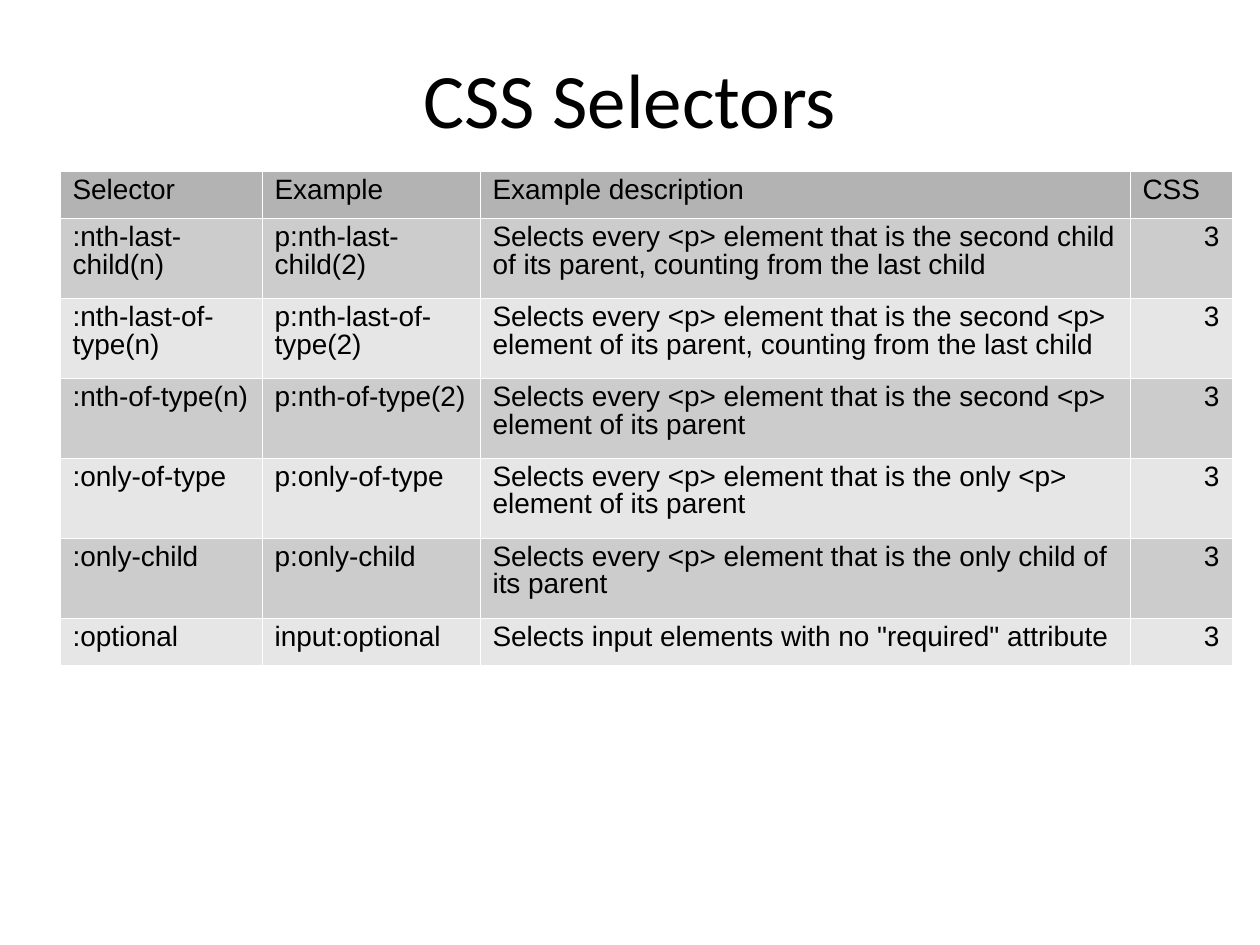
import pptx
import pptx.util
import pptx.dml.color
import pptx.enum.text
import pptx.oxml
import pptx.oxml.ns

PX = 914400 / 126
BLACK = pptx.dml.color.RGBColor(0x00, 0x00, 0x00)
HEADER = pptx.dml.color.RGBColor(0xB3, 0xB3, 0xB3)
DARK_BAND = pptx.dml.color.RGBColor(0xCC, 0xCC, 0xCC)
LIGHT_BAND = pptx.dml.color.RGBColor(0xE6, 0xE6, 0xE6)
LEFT = pptx.enum.text.PP_ALIGN.LEFT
CENTER = pptx.enum.text.PP_ALIGN.CENTER
RIGHT = pptx.enum.text.PP_ALIGN.RIGHT


def px(n):
    return pptx.util.Emu(round(n * PX))


def write(tf, text, font="Arial", size=16, align=LEFT, spacing=None):
    p = tf.paragraphs[0]
    p.alignment = align
    p.line_spacing = spacing
    r = p.add_run()
    r.text = text
    r.font.name = font
    r.font.size = pptx.util.Pt(size)
    r.font.color.rgb = BLACK


prs = pptx.Presentation()
prs.slide_width, prs.slide_height = px(1260), px(945)
s = prs.slides.add_slide(prs.slide_layouts[5])

# Title
title = s.shapes.title
title.left, title.top, title.width, title.height = px(63), px(19), px(1134), px(157)
tf = title.text_frame
tf.margin_left = tf.margin_right = tf.margin_top = tf.margin_bottom = 0
tf.vertical_anchor = pptx.enum.text.MSO_ANCHOR.MIDDLE
write(tf, "CSS Selectors", font="Calibri", size=44, align=CENTER)

# Table content
rows = [
    ("Selector", "Example", "Example description", "CSS"),
    (":nth-last-child(n)", "p:nth-last-child(2)",
     "Selects every <p> element that is the second child of its parent, counting from the last child", "3"),
    (":nth-last-of-type(n)", "p:nth-last-of-type(2)",
     "Selects every <p> element that is the second <p> element of its parent, counting from the last child", "3"),
    (":nth-of-type(n)", "p:nth-of-type(2)",
     "Selects every <p> element that is the second <p> element of its parent", "3"),
    (":only-of-type", "p:only-of-type",
     "Selects every <p> element that is the only <p> element of its parent", "3"),
    (":only-child", "p:only-child",
     "Selects every <p> element that is the only child of its parent", "3"),
    (":optional", "input:optional",
     'Selects input elements with no "required" attribute', "3"),
]
col_widths = [202, 218, 650, 102]
row_heights = [47] + [80] * 5 + [47]

# Table grid
table = s.shapes.add_table(len(rows), len(col_widths), px(60), px(171),
                           px(sum(col_widths)), px(sum(row_heights))).table
for col, width in zip(table.columns, col_widths):
    col.width = px(width)
for row, height in zip(table.rows, row_heights):
    row.height = px(height)

# Cells: text, thin white borders and banded fill
for i, texts in enumerate(rows):
    for j, text in enumerate(texts):
        cell = table.cell(i, j)
        write(cell.text_frame, text, align=RIGHT if i and j == 3 else LEFT, spacing=0.89)
        tc_pr = cell._tc.get_or_add_tcPr()
        for side in ("lnL", "lnR", "lnT", "lnB"):
            tc_pr.append(pptx.oxml.parse_xml(
                f'<a:{side} {pptx.oxml.ns.nsdecls("a")} w="720"><a:solidFill>'
                f'<a:srgbClr val="FFFFFF"/></a:solidFill></a:{side}>'))
        cell.fill.solid()
        cell.fill.fore_color.rgb = HEADER if i == 0 else DARK_BAND if i % 2 else LIGHT_BAND

prs.save("out.pptx")
